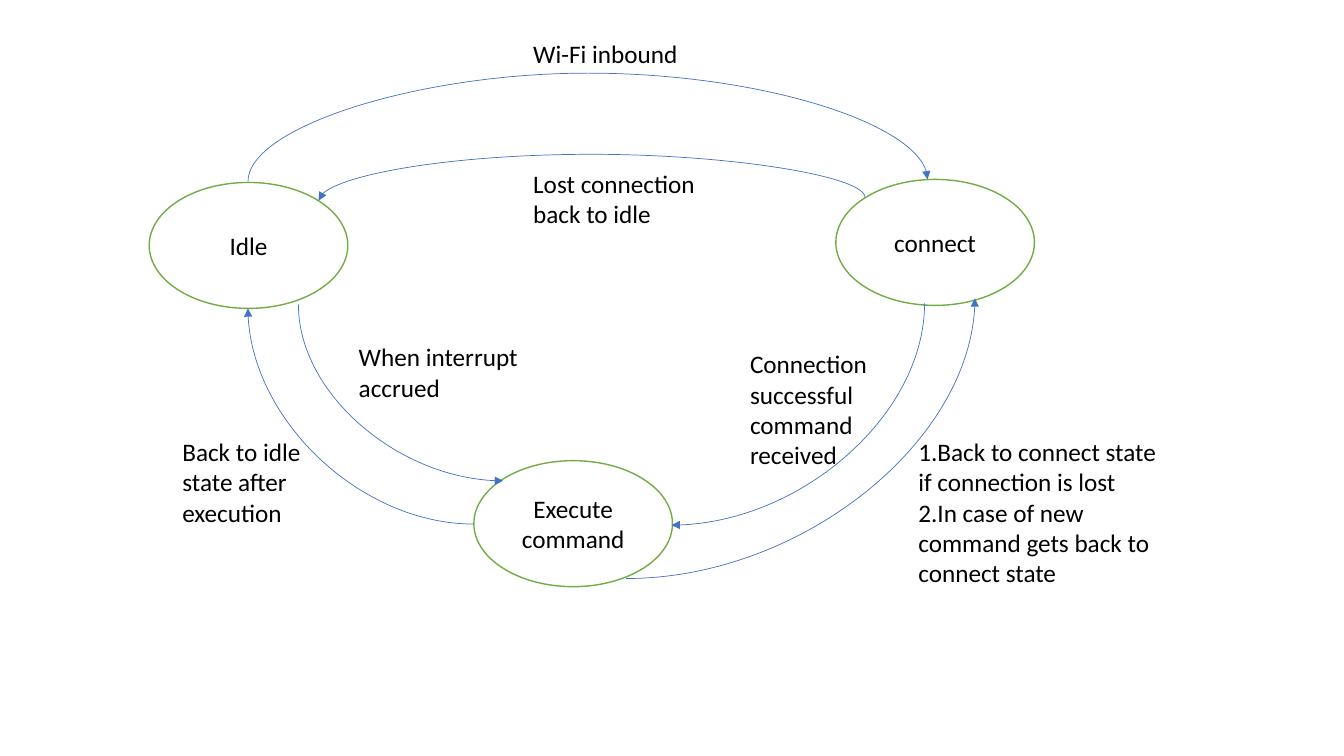
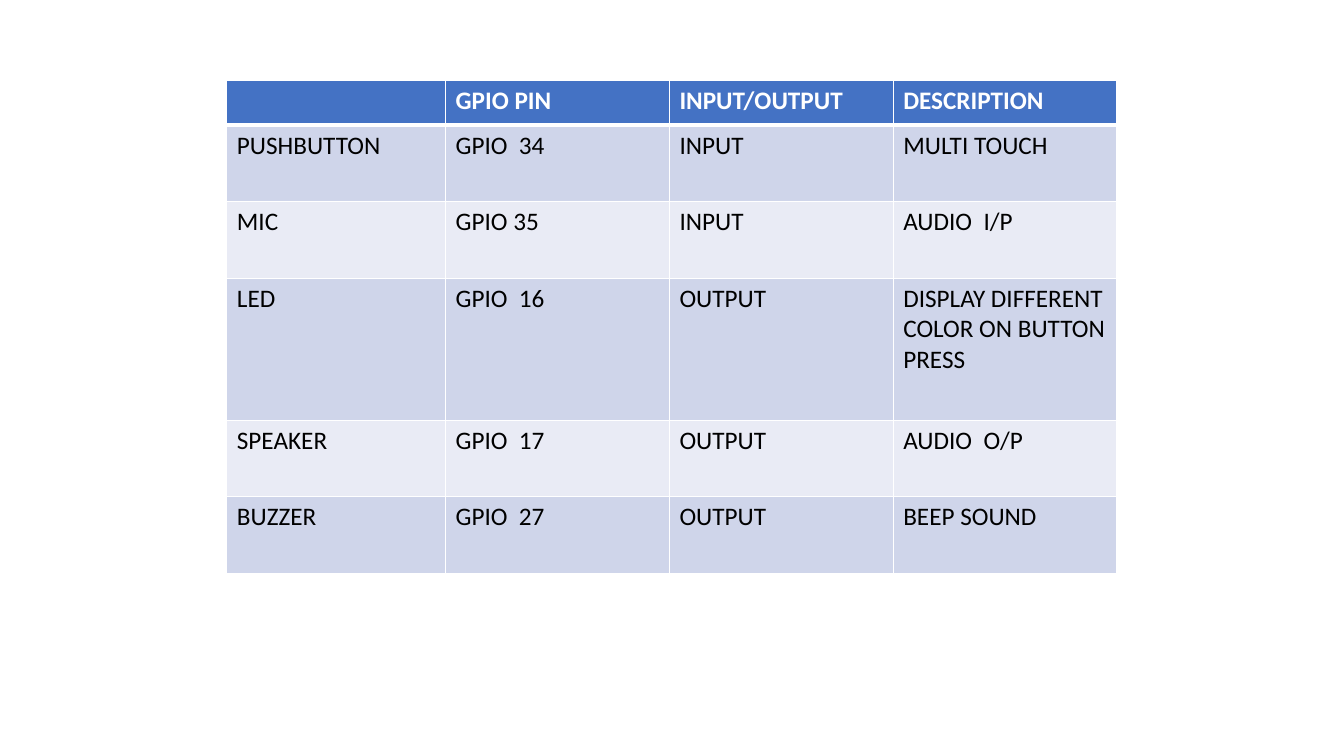
"""Build a state diagram and a GPIO pin table."""
from dataclasses import dataclass

from lxml.etree import SubElement
from pptx import Presentation
from pptx.dml.color import RGBColor as Color
from pptx.enum.shapes import MSO_CONNECTOR as Connector, MSO_SHAPE as Shape
from pptx.enum.text import MSO_ANCHOR as Anchor, PP_ALIGN as Align
from pptx.oxml.ns import qn
from pptx.util import Inches, Pt


@dataclass(frozen=True)
class Theme:
    font: str = "Calibri"
    size: float = 18
    text: str = "000000"
    paper: str = "FFFFFF"
    state_line: str = "70AD47"
    accent: str = "4472C4"
    bands: tuple = ("CFD5EA", "E9EBF5")
    state_width: float = 1
    arrow_width: float = 0.5
    border: float = 1
    header_border: float = 3


THEME = Theme()
STATE_SIZE = (1.97, 1.25)
STATES = [
    ("Idle", 1.48, 1.81),
    ("connect", 8.29, 1.78),
    ("Execute\ncommand", 4.7, 4.57),
]
LABELS = [
    ("Wi-Fi inbound", 5.19, 0.33, 1.99, 0.4),
    ("Lost connection back to idle", 5.19, 1.62, 1.97, 0.71),
    ("When interrupt accrued", 3.46, 3.34, 2.03, 0.71),
    ("Connection successful command received", 7.34, 3.41, 2.08, 1.31),
    ("Back to idle state after execution", 1.71, 4.28, 1.49, 1.01),
    ("1.Back to connect state if connection is lost\n"
     "2.In case of new command gets back to connect state", 9.01, 4.28, 2.69, 1.62),
]
TRANSITIONS = [
    {"start": (4.7, 5.2), "end": (2.46, 3.06)},
    {"start": (9.17, 3.01), "end": (6.66, 5.21), "vertical": True},
    {"start": (6.21, 5.74), "end": (9.67, 2.96)},
    {"start": (2.96, 3.02), "end": (4.99, 4.77), "vertical": True},
    {"start": (8.58, 1.96), "end": (3.16, 1.99), "vertical": True, "apex": 1.53},
    {"start": (2.46, 1.8), "end": (9.2, 1.78), "vertical": True, "apex": 0.73},
]
PINS = [
    ("", "GPIO PIN", "INPUT/OUTPUT", "DESCRIPTION"),
    ("PUSHBUTTON", "GPIO  34", "INPUT", "MULTI TOUCH"),
    ("MIC", "GPIO 35", "INPUT", "AUDIO  I/P"),
    ("LED", "GPIO  16", "OUTPUT", "DISPLAY DIFFERENT COLOR ON BUTTON PRESS"),
    ("SPEAKER", "GPIO  17", "OUTPUT", "AUDIO  O/P"),
    ("BUZZER", "GPIO  27", "OUTPUT", "BEEP SOUND"),
]
COLUMN_WIDTHS = (2.17, 2.22, 2.22, 2.22)
ROW_HEIGHTS = (0.44, 0.76, 0.76, 1.41, 0.76, 0.76)


def write(frame, text, color=THEME.text, bold=False, align=Align.LEFT):
    frame.word_wrap = True
    frame.text = text
    for paragraph in frame.paragraphs:
        paragraph.alignment = align
        font = paragraph.font
        font.name, font.size, font.bold = THEME.font, Pt(THEME.size), bold
        font.color.rgb = Color.from_string(color)


def set_line(line, color, width):
    line.color.rgb = Color.from_string(color)
    line.width = Pt(width)


def add_state(slide, text, left, top):
    shape = slide.shapes.add_shape(Shape.OVAL, *map(Inches, (left, top, *STATE_SIZE)))
    shape.shadow.inherit = False
    shape.fill.solid()
    shape.fill.fore_color.rgb = Color.from_string(THEME.paper)
    set_line(shape.line, THEME.state_line, THEME.state_width)
    shape.text_frame.vertical_anchor = Anchor.MIDDLE
    write(shape.text_frame, text, align=Align.CENTER)


def add_transition(slide, start, end, vertical=False, apex=None):
    """Draw a curve that leaves start sideways, or upright when vertical."""
    (x1, y1), (x2, y2) = start, end
    middle_x, middle_y = (x1 + x2) / 2, (y1 + y2) / 2
    across, down = (y2 - y1, x1 - x2) if vertical else (x2 - x1, y2 - y1)
    corners = (middle_x - across / 2, middle_y - down / 2,
               middle_x + across / 2, middle_y + down / 2)
    connector = slide.shapes.add_connector(Connector.CURVE, *map(Inches, corners))
    set_line(connector.line, THEME.accent, THEME.arrow_width)
    properties = connector._element.spPr
    if vertical:
        properties.find(qn("a:xfrm")).set("rot", str(90 * 60000))
    geometry = properties.find(qn("a:prstGeom"))
    if apex is None:
        geometry.set("prst", "curvedConnector2")
    else:
        adjustment = round((apex - y1) / (y2 - y1) * 100000)
        SubElement(geometry.find(qn("a:avLst")), qn("a:gd"),
                   name="adj1", fmla=f"val {adjustment}")
    SubElement(properties.find(qn("a:ln")), qn("a:tailEnd"), type="triangle")
    SubElement(properties, qn("a:effectLst"))


def set_borders(cell, widths):
    properties = cell._tc.get_or_add_tcPr()
    for side, width in widths.items():
        line = SubElement(properties, qn(f"a:ln{side}"), w=str(Pt(width)))
        fill = SubElement(line, qn("a:solidFill"))
        SubElement(fill, qn("a:srgbClr"), val=THEME.paper)


def build_diagram(slide):
    for state in STATES:
        add_state(slide, *state)
    for text, *box in LABELS:
        write(slide.shapes.add_textbox(*map(Inches, box)).text_frame, text)
    for transition in TRANSITIONS:
        add_transition(slide, **transition)


def build_table(slide):
    box = (2.25, 0.8, sum(COLUMN_WIDTHS), sum(ROW_HEIGHTS))
    table = slide.shapes.add_table(len(PINS), len(COLUMN_WIDTHS), *map(Inches, box)).table
    for column, width in zip(table.columns, COLUMN_WIDTHS):
        column.width = Inches(width)
    for index, (row, height, texts) in enumerate(zip(table.rows, ROW_HEIGHTS, PINS)):
        row.height = Inches(height)
        header = index == 0
        borders = dict.fromkeys("LRTB", THEME.border)
        if index < 2:
            borders["B" if header else "T"] = THEME.header_border
        fill = THEME.accent if header else THEME.bands[(index - 1) % 2]
        for cell, text in zip(row.cells, texts):
            set_borders(cell, borders)
            cell.fill.solid()
            cell.fill.fore_color.rgb = Color.from_string(fill)
            write(cell.text_frame, text, THEME.paper if header else THEME.text, header)


def main():
    presentation = Presentation()
    presentation.slide_width, presentation.slide_height = Inches(13.33), Inches(7.5)
    blank = presentation.slide_layouts[6]
    for build in (build_diagram, build_table):
        build(presentation.slides.add_slide(blank))
    presentation.save("out.pptx")


if __name__ == "__main__":
    main()
